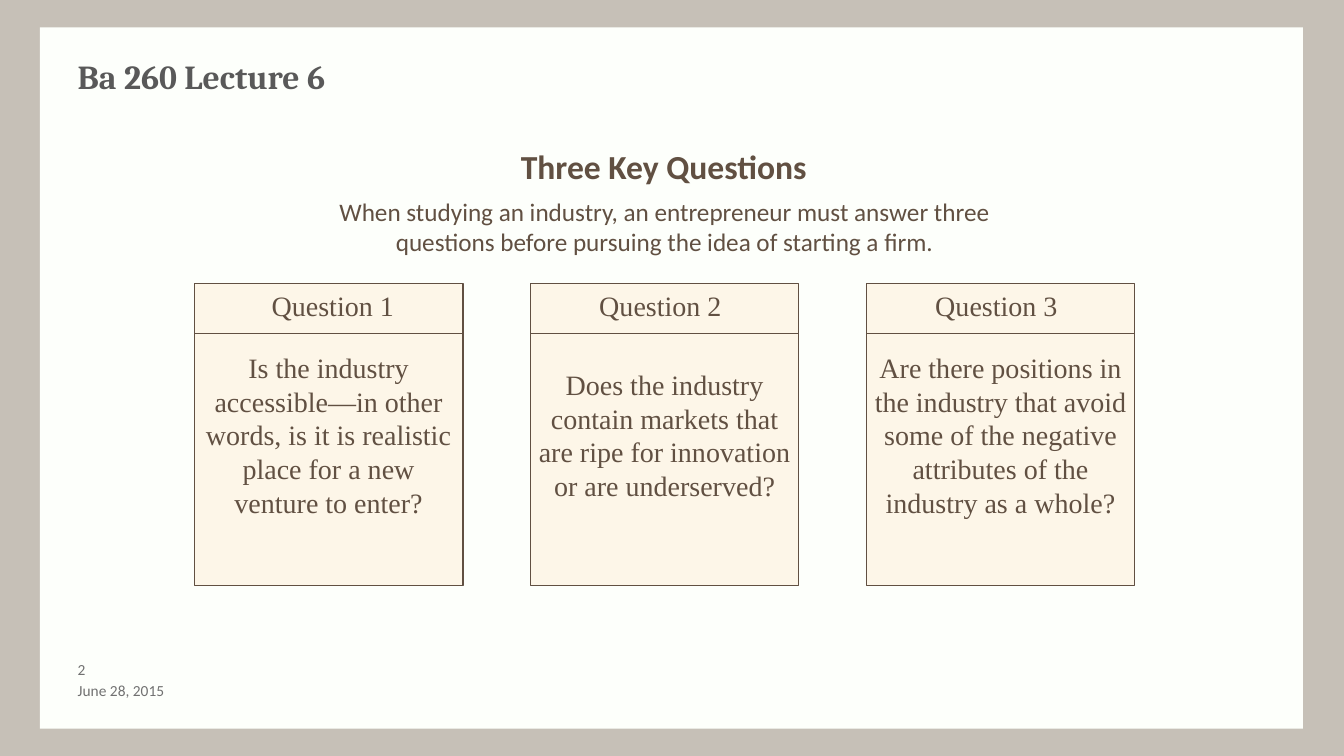
from dataclasses import dataclass

from pptx import Presentation
from pptx import util as u
from pptx.dml import color
from pptx.enum import shapes, text
from pptx.oxml import xmlchemy

TITLE = "Ba 260 Lecture 6"
HEAD = "Three Key Questions"
INTRO = ("When studying an industry, an entrepreneur must answer three "
         "questions before pursuing the idea of starting a firm.")
DATE = "June 28, 2015"
PAGE = "2"
CARDS = [
    ("Question 1", 8, ["Is the industry", "accessible—in other",
                       "words, is it is realistic", "place for a new",
                       "venture to enter?"]),
    ("Question 2", 0, ["Does the industry", "contain markets that",
                       "are ripe for innovation", "or are underserved?"]),
    ("Question 3", 0, ["Are there positions in", "the industry that avoid",
                       "some of the negative", "attributes of the",
                       "industry as a whole?"]),
]


@dataclass(frozen=True)
class Theme:
    back: str = "C6C0B7"
    panel: str = "FDFFFB"
    card: str = "FDF6E8"
    brown: str = "615042"
    title: str = "595959"
    foot: str = "717171"
    serif: str = "Cambria"
    sans: str = "Calibri"
    roman: str = "Times New Roman"
    big: int = 24
    mid: int = 20
    body: int = 18
    small: int = 11
    rule: float = 0.75


T = Theme()
LEFT = text.PP_ALIGN.LEFT
MID = text.PP_ALIGN.CENTER
TOP = text.MSO_ANCHOR.TOP
CORE = text.MSO_ANCHOR.MIDDLE


def px(n):
    return u.Inches(n / 96)


def rgb(code):
    return color.RGBColor.from_string(code)


def write(shape, lines, font=T.sans, size=T.mid, ink=T.brown, bold=False,
          align=MID, anchor=TOP, wrap=True, side=10, edge=5):
    frame = shape.text_frame
    frame.text = "\n".join(lines)
    frame.auto_size = text.MSO_AUTO_SIZE.NONE
    frame.word_wrap = wrap
    frame.vertical_anchor = anchor
    frame.margin_left = frame.margin_right = px(side)
    frame.margin_top = frame.margin_bottom = px(edge)
    for para in frame.paragraphs:
        para.alignment = align
        for run in para.runs:
            run.font.name = font
            run.font.size = u.Pt(size)
            run.font.bold = bold
            run.font.color.rgb = rgb(ink)


def label(slide, box, words, **form):
    write(slide.shapes.add_textbox(*map(px, box)), [words], **form)


def block(slide, box, fill, line=None):
    rect = slide.shapes.add_shape(shapes.MSO_SHAPE.RECTANGLE, *map(px, box))
    rect.shadow.inherit = False
    rect.fill.solid()
    rect.fill.fore_color.rgb = rgb(fill)
    if line:
        rect.line.color.rgb = rgb(line)
        rect.line.width = u.Pt(T.rule)
    else:
        rect.line.fill.background()
    return rect


def divide(slide, x, y, wide):
    line = slide.shapes.add_connector(
        shapes.MSO_CONNECTOR.STRAIGHT, px(x), px(y), px(x + wide), px(y))
    line.line.color.rgb = rgb(T.brown)
    line.line.width = u.Pt(T.rule)
    props = line._element.spPr
    props.append(xmlchemy.OxmlElement("a:effectLst"))


def main():
    deck = Presentation()
    deck.slide_width, deck.slide_height = px(1280), px(720)
    slide = deck.slides.add_slide(deck.slide_layouts[5])
    slide.background.fill.solid()
    slide.background.fill.fore_color.rgb = rgb(T.back)

    panel = block(slide, (38, 26, 1203, 668), T.panel)
    slide.shapes._spTree.insert(2, panel._element)

    title = slide.shapes.title
    title.left, title.top, title.width, title.height = map(
        px, (64, 48, 1152, 72))
    write(title, [TITLE], font=T.serif, size=T.big, ink=T.title,
          bold=True, align=LEFT)

    label(slide, (486, 134, 295, 48), HEAD, size=T.big, bold=True,
          align=LEFT, wrap=False)
    label(slide, (313, 182, 640, 68), INTRO, size=T.body)

    left, top, wide, high, step, bar = 185, 270, 256, 288, 320, 48
    for i, (name, shift, lines) in enumerate(CARDS):
        x = left + i * step
        card = block(slide, (x, top, wide, high), T.card, T.brown)
        write(card, lines, font=T.roman, anchor=CORE, wrap=False)
        divide(slide, x, top + bar, wide)
        label(slide, (x + shift, top, wide - 8, 42), name, font=T.roman)

    foot = dict(size=T.small, ink=T.foot, align=LEFT, edge=0)
    label(slide, (64, 629, 51, 19), PAGE, **foot)
    label(slide, (64, 648, 256, 19), DATE, anchor=CORE, **foot)

    deck.save("out.pptx")


if __name__ == "__main__":
    main()
